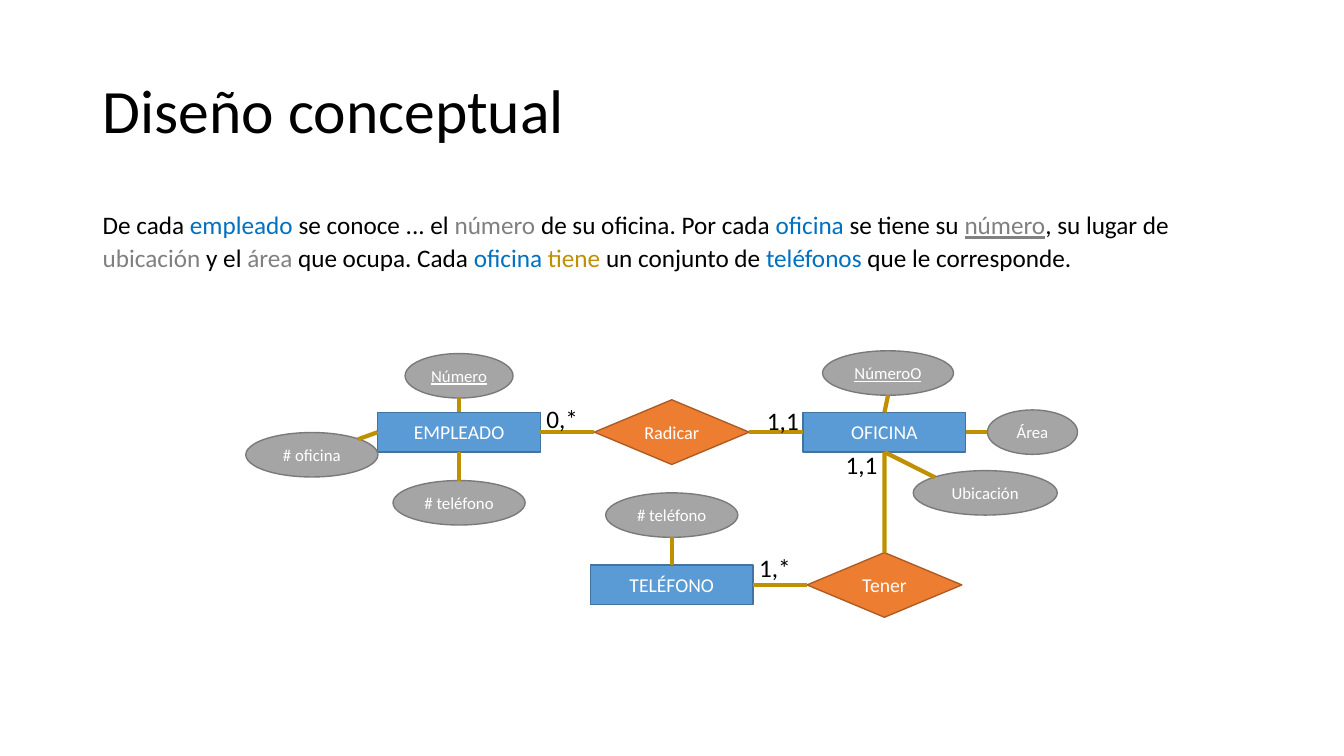
from pptx import Presentation
from pptx.dml.color import RGBColor
from pptx.enum.shapes import MSO_CONNECTOR as Connector, MSO_SHAPE as Shape
from pptx.enum.text import MSO_ANCHOR as Anchor, PP_ALIGN as Align
from pptx.oxml.ns import qn
from pptx.util import Cm, Pt
from lxml import etree

BLACK = RGBColor(0x00, 0x00, 0x00)
WHITE = RGBColor(0xFF, 0xFF, 0xFF)
BLUE = RGBColor(0x00, 0x70, 0xC0)
GRAY = RGBColor(0x80, 0x80, 0x80)
GOLD = RGBColor(0xBF, 0x90, 0x00)
ENTITY_FILL = RGBColor(0x5B, 0x9B, 0xD5)
ENTITY_LINE = RGBColor(0x43, 0x73, 0x9E)
RELATION_FILL = RGBColor(0xED, 0x7D, 0x31)
RELATION_LINE = RGBColor(0xAF, 0x5C, 0x24)
ATTRIBUTE_FILL = RGBColor(0xA5, 0xA5, 0xA5)
ATTRIBUTE_LINE = RGBColor(0x7A, 0x7A, 0x7A)
FONT = "Calibri"

deck = Presentation()
deck.slide_width, deck.slide_height = Cm(33.87), Cm(19.05)
page = deck.slides.add_slide(deck.slide_layouts[6])


def add_text(left, top, width, height, size, spans, wrap=True):
    """Add a one-paragraph text box; spans are (text, colour, underline)."""
    box = page.shapes.add_textbox(Cm(left), Cm(top), Cm(width), Cm(height))
    box.text_frame.word_wrap = wrap
    para = box.text_frame.paragraphs[0]
    para.font.name, para.font.size = FONT, Pt(size)
    for text, color, underline in spans:
        span = para.add_run()
        span.text = text
        span.font.color.rgb = color
        if underline:
            span.font.underline = True
    return box


title = add_text(2.34, 1.02, 29.21, 3.68, 44, [("Diseño conceptual", BLACK, False)])
title.text_frame.vertical_anchor = Anchor.MIDDLE
title.text_frame.paragraphs[0].line_spacing = 0.9

statement = add_text(2.34, 5.08, 29.21, 2.26, 18, [
    ("De cada ", BLACK, False),
    ("empleado ", BLUE, False),
    ("se conoce ... el ", BLACK, False),
    ("número ", GRAY, False),
    ("de su oficina. Por cada ", BLACK, False),
    ("oficina ", BLUE, False),
    ("se tiene su ", BLACK, False),
    ("número", GRAY, True),
    (", su lugar de ", BLACK, False),
    ("ubicación ", GRAY, False),
    ("y el ", BLACK, False),
    ("área ", GRAY, False),
    ("que ocupa. Cada ", BLACK, False),
    ("oficina ", BLUE, False),
    ("tiene ", GOLD, False),
    ("un conjunto de ", BLACK, False),
    ("teléfonos ", BLUE, False),
    ("que le corresponde.", BLACK, False),
])
statement.text_frame.paragraphs[0].line_spacing = 1.1
statement.text_frame.paragraphs[0].space_before = Pt(10)

# Kind: preset, height, fill, line
ENTITY = (Shape.RECTANGLE, 1.0, ENTITY_FILL, ENTITY_LINE)
RELATION = (Shape.DIAMOND, 1.63, RELATION_FILL, RELATION_LINE)
ATTRIBUTE = (Shape.OVAL, 1.12, ATTRIBUTE_FILL, ATTRIBUTE_LINE)

# Columns and rows shared by the centres of the diagram
LEFT_X, MIDDLE_X, RIGHT_X = 11.57, 16.93, 22.29
UPPER_Y, LOWER_Y = 10.89, 14.74

# Name: kind, text, centre x, centre y, width, text size, underline
nodes = {
    "office": (ENTITY, "OFICINA", RIGHT_X, UPPER_Y, 4.1, 14, False),
    "employee": (ENTITY, "EMPLEADO", LEFT_X, UPPER_Y, 4.1, 14, False),
    "phone": (ENTITY, "TELÉFONO", MIDDLE_X, LOWER_Y, 4.1, 14, False),
    "reside": (RELATION, "Radicar", MIDDLE_X, UPPER_Y, 3.9, 13, False),
    "have": (RELATION, "Tener", RIGHT_X, LOWER_Y, 3.9, 14, False),
    "office number": (ATTRIBUTE, "NúmeroO", 22.38, 9.4, 3.3, 12, True),
    "location": (ATTRIBUTE, "Ubicación", 24.83, 12.42, 3.63, 12, False),
    "area": (ATTRIBUTE, "Área", 26.02, UPPER_Y, 2.27, 12, False),
    "employee number": (ATTRIBUTE, "Número", LEFT_X, 9.47, 2.72, 12, True),
    "employee office": (ATTRIBUTE, "# oficina", 7.86, 11.46, 3.33, 12, False),
    "employee phone": (ATTRIBUTE, "# teléfono", LEFT_X, 12.67, 3.33, 12, False),
    "phone number": (ATTRIBUTE, "# teléfono", MIDDLE_X, 12.98, 3.33, 12, False),
}
shapes = {}
for name, (kind, text, x, y, width, size, underline) in nodes.items():
    preset, height, fill, line = kind
    shape = page.shapes.add_shape(
        preset, Cm(x - width / 2), Cm(y - height / 2), Cm(width), Cm(height))
    shape.shadow.inherit = False
    shape.fill.solid()
    shape.fill.fore_color.rgb = fill
    shape.line.color.rgb = line
    shape.line.width = Pt(1)
    shape.text_frame.word_wrap = False
    shape.text_frame.vertical_anchor = Anchor.MIDDLE
    para = shape.text_frame.paragraphs[0]
    para.text = text
    para.alignment = Align.CENTER
    para.font.name, para.font.size = FONT, Pt(size)
    para.font.color.rgb = WHITE
    if underline:
        para.runs[0].font.underline = True
    shapes[name] = shape

# Points on an outline, as fractions of width and height
TOP, BOTTOM, LEFT, RIGHT = (0.5, 0), (0.5, 1), (0, 0.5), (1, 0.5)
UPPER_LEFT, UPPER_RIGHT = (0.15, 0.15), (0.85, 0.15)

links = [
    ("employee", RIGHT, "reside", LEFT),
    ("reside", RIGHT, "office", LEFT),
    ("office number", BOTTOM, "office", TOP),
    ("office", BOTTOM, "location", UPPER_LEFT),
    ("area", LEFT, "office", RIGHT),
    ("employee number", BOTTOM, "employee", TOP),
    ("employee", LEFT, "employee office", UPPER_RIGHT),
    ("employee", BOTTOM, "employee phone", TOP),
    ("have", TOP, "office", BOTTOM),
    ("phone", RIGHT, "have", LEFT),
    ("phone number", BOTTOM, "phone", TOP),
]
for start, start_side, end, end_side in links:
    ends = []
    for name, (across, down) in ((start, start_side), (end, end_side)):
        shape = shapes[name]
        ends.append(round(shape.left + across * shape.width))
        ends.append(round(shape.top + down * shape.height))
    link = page.shapes.add_connector(Connector.STRAIGHT, *ends)
    link.line.color.rgb = GOLD
    link.line.width = Pt(3)
    etree.SubElement(link._element.spPr, qn("a:effectLst"))

cardinalities = [("0,*", 13.52, 10.03), ("1,1", 19.08, 10.08),
                 ("1,1", 21.06, 11.2), ("1,*", 18.88, 13.8)]
for text, left, top in cardinalities:
    add_text(left, top, 1.31, 1.03, 18, [(text, BLACK, False)], wrap=False)

deck.save("out.pptx")
